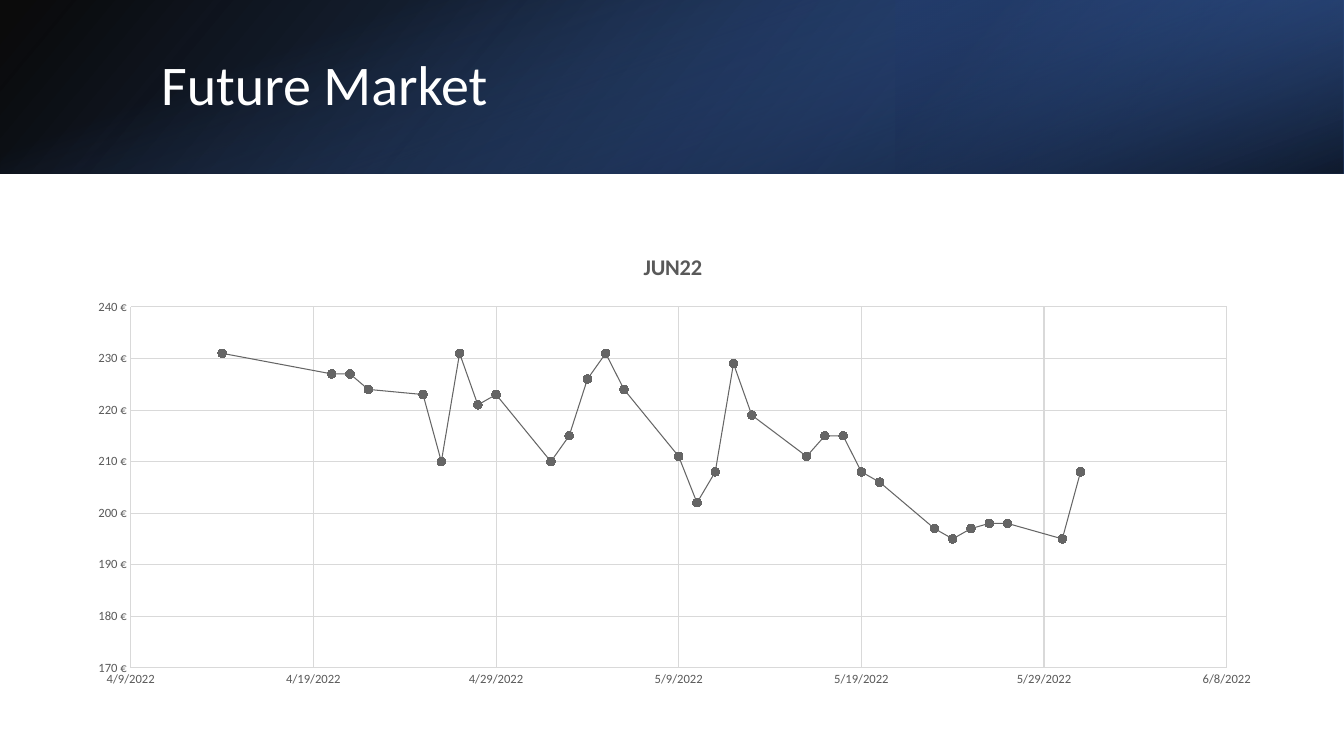
import pptx
import pptx.chart.data
import pptx.dml.color
import pptx.enum.chart
import pptx.enum.shapes
import pptx.enum.text
import pptx.oxml.ns
import pptx.oxml.xmlchemy
import pptx.util

Cm = pptx.util.Cm
Pt = pptx.util.Pt
RGBColor = pptx.dml.color.RGBColor
qn = pptx.oxml.ns.qn
OxmlElement = pptx.oxml.xmlchemy.OxmlElement

BLACK = RGBColor(0x00, 0x00, 0x00)
WHITE = RGBColor(0xFF, 0xFF, 0xFF)
BLUE = RGBColor(0x44, 0x72, 0xC4)
DARK_BLUE = RGBColor(0x2F, 0x55, 0x97)
NAVY = RGBColor(0x20, 0x38, 0x64)
TEXT_GRAY = RGBColor(0x59, 0x59, 0x59)
GRID_GRAY = RGBColor(0xD9, 0xD9, 0xD9)
LINE_GRAY = RGBColor(0x65, 0x65, 0x65)

FONT = "Calibri"
SLIDE_W, SLIDE_H, BANNER_H = 33.87, 19.05, 4.37
FIRST_DATE = 44660
DAYS = [5, 11, 12, 13, *range(16, 21), *range(23, 28), *range(30, 35),
        *range(37, 42), *range(44, 49), 51, 52]
PRICES = [231, 227, 227, 224, 223, 210, 231, 221, 223, 210, 215,
          226, 231, 224, 211, 202, 208, 229, 219, 211, 215, 215,
          208, 206, 197, 195, 197, 198, 198, 195, 208]


def set_font(font, size, color, bold=False):
    font.name = FONT
    font.size = Pt(size)
    font.bold = bold
    font.color.rgb = color


def add_gradient(s, x, y, w, h, stops, angle, rotation=0, flip=False):
    sp = s.shapes.add_shape(pptx.enum.shapes.MSO_SHAPE.RECTANGLE,
                            Cm(x), Cm(y), Cm(w), Cm(h))
    sp.shadow.inherit = False
    sp.line.fill.background()
    sp.rotation = rotation
    if flip:
        sp._element.spPr.xfrm.set("flipH", "1")
    sp.fill.gradient()
    sp.fill.gradient_angle = 360 - angle
    for stop, (position, color, _) in zip(sp.fill.gradient_stops, stops):
        stop.position = position / 100
        stop.color.rgb = color
    gradient = sp._element.spPr.find(qn("a:gradFill"))
    for clr, (_, _, opacity) in zip(gradient.findall(".//" + qn("a:srgbClr")), stops):
        alpha = OxmlElement("a:alpha")
        alpha.set("val", str(opacity * 1000))
        clr.append(alpha)


def add_text(s, text, x, y, w, h, size, color):
    tf = s.shapes.add_textbox(Cm(x), Cm(y), Cm(w), Cm(h)).text_frame
    tf.word_wrap = True
    tf.vertical_anchor = pptx.enum.text.MSO_ANCHOR.MIDDLE
    p = tf.paragraphs[0]
    p.line_spacing = 0.9
    r = p.add_run()
    r.text = text
    set_font(r.font, size, color)


def format_axis(axis, low, high, step, number_format):
    axis.minimum_scale, axis.maximum_scale = low, high
    axis.major_unit = step
    axis.major_tick_mark = pptx.enum.chart.XL_TICK_MARK.NONE
    axis.minor_tick_mark = pptx.enum.chart.XL_TICK_MARK.NONE
    axis.has_major_gridlines = True
    grid = axis.major_gridlines.format.line
    grid.color.rgb = GRID_GRAY
    grid.width = Pt(0.75)
    labels = axis.tick_labels
    labels.number_format = number_format
    labels.number_format_is_linked = False
    set_font(labels.font, 9, TEXT_GRAY)


def set_plot_area(chart, x, y, w, h):
    plot_area = chart._chartSpace.chart.plotArea
    for old in plot_area.findall(qn("c:layout")):
        plot_area.remove(old)
    layout = OxmlElement("c:layout")
    manual = OxmlElement("c:manualLayout")
    layout.append(manual)
    settings = [("layoutTarget", "inner"), ("xMode", "edge"), ("yMode", "edge"),
                ("x", x), ("y", y), ("w", w), ("h", h)]
    for tag, val in settings:
        el = OxmlElement("c:" + tag)
        el.set("val", str(val))
        manual.append(el)
    plot_area.insert(0, layout)


def add_price_chart(s, name, x, y, w, h):
    data = pptx.chart.data.XyChartData()
    points = data.add_series(name)
    for day, price in zip(DAYS, PRICES):
        points.add_data_point(FIRST_DATE + day, price)
    chart = s.shapes.add_chart(pptx.enum.chart.XL_CHART_TYPE.XY_SCATTER_LINES,
                               Cm(x), Cm(y), Cm(w), Cm(h), data).chart
    set_font(chart.font, 10, BLACK)
    chart.has_legend = False
    chart.has_title = True
    tf = chart.chart_title.text_frame
    tf.text = name
    set_font(tf.paragraphs[0].runs[0].font, 16, TEXT_GRAY, bold=True)

    format_axis(chart.category_axis, FIRST_DATE, FIRST_DATE + 60, 10, "m/d/yyyy")
    chart.category_axis.format.line.color.rgb = GRID_GRAY
    chart.category_axis.format.line.width = Pt(1)
    format_axis(chart.value_axis, 170, 240, 10, '#,##0\\ "€"')
    chart.value_axis.format.line.fill.background()
    set_plot_area(chart, 0.05, 0.16, 0.91, 0.78)

    chart.plots[0].vary_by_categories = False
    series = chart.plots[0].series[0]
    series.smooth = False
    series.format.line.color.rgb = LINE_GRAY
    series.format.line.width = Pt(0.75)
    marker = series.marker
    marker.style = pptx.enum.chart.XL_MARKER_STYLE.CIRCLE
    marker.size = 6
    marker.format.fill.solid()
    marker.format.fill.fore_color.rgb = LINE_GRAY
    marker.format.line.color.rgb = LINE_GRAY


def add_banner(s):
    add_gradient(s, 0, 0, SLIDE_W, BANNER_H,
                 [(0, BLACK, 96), (100, DARK_BLUE, 100)], 140, flip=True)
    add_gradient(s, SLIDE_W * 2 / 3, 0, SLIDE_W / 3, BANNER_H,
                 [(19, NAVY, 68), (100, BLUE, 79)], 320, rotation=180, flip=True)
    offset = (SLIDE_W - BANNER_H) / 2
    add_gradient(s, offset, -offset, BANNER_H, SLIDE_W,
                 [(23, BLUE, 0), (99, BLACK, 74)], 340, rotation=90)


def main():
    prs = pptx.Presentation()
    prs.slide_width, prs.slide_height = Cm(SLIDE_W), Cm(SLIDE_H)
    s = prs.slides.add_slide(prs.slide_layouts[6])
    add_banner(s)
    add_text(s, "Future Market", 3.81, 0.97, 27.88, 2.44, size=40, color=WHITE)
    add_price_chart(s, "JUN22", 1.78, 5.87, 30.35, 11.66)
    prs.save("out.pptx")


main()
